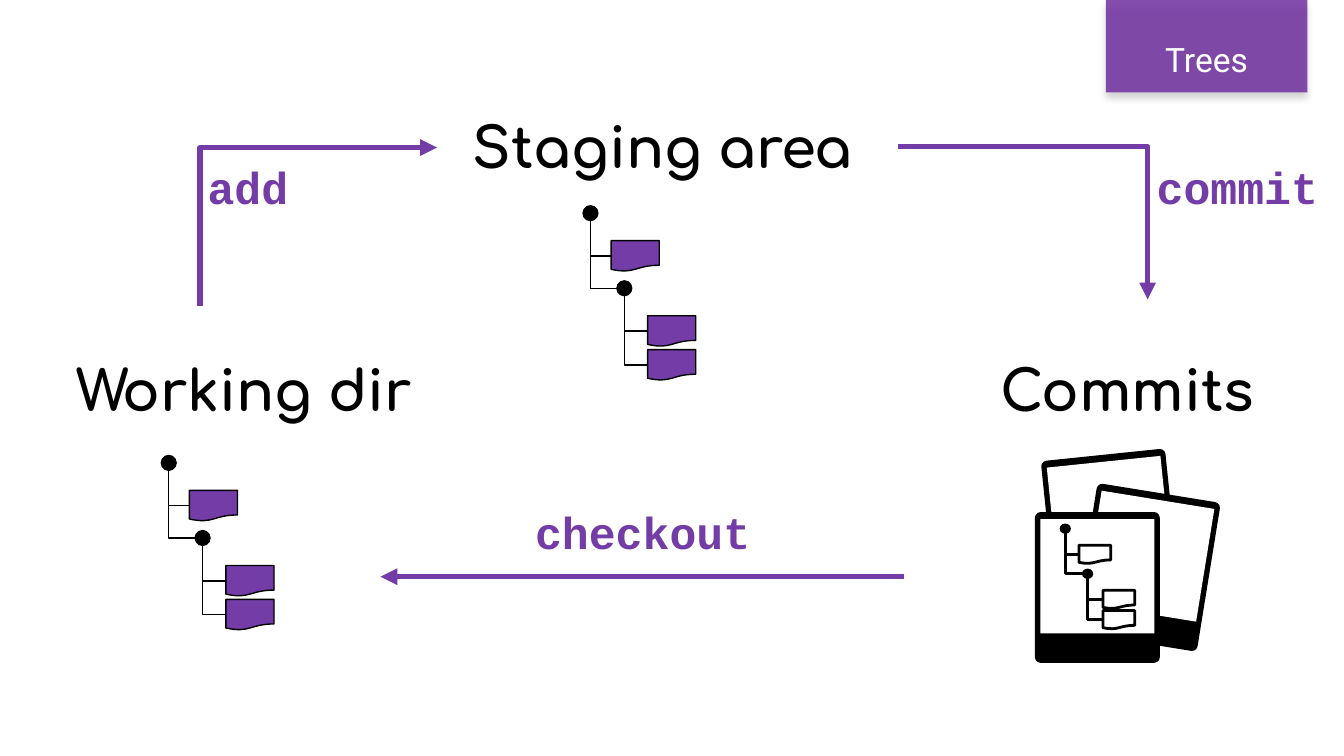
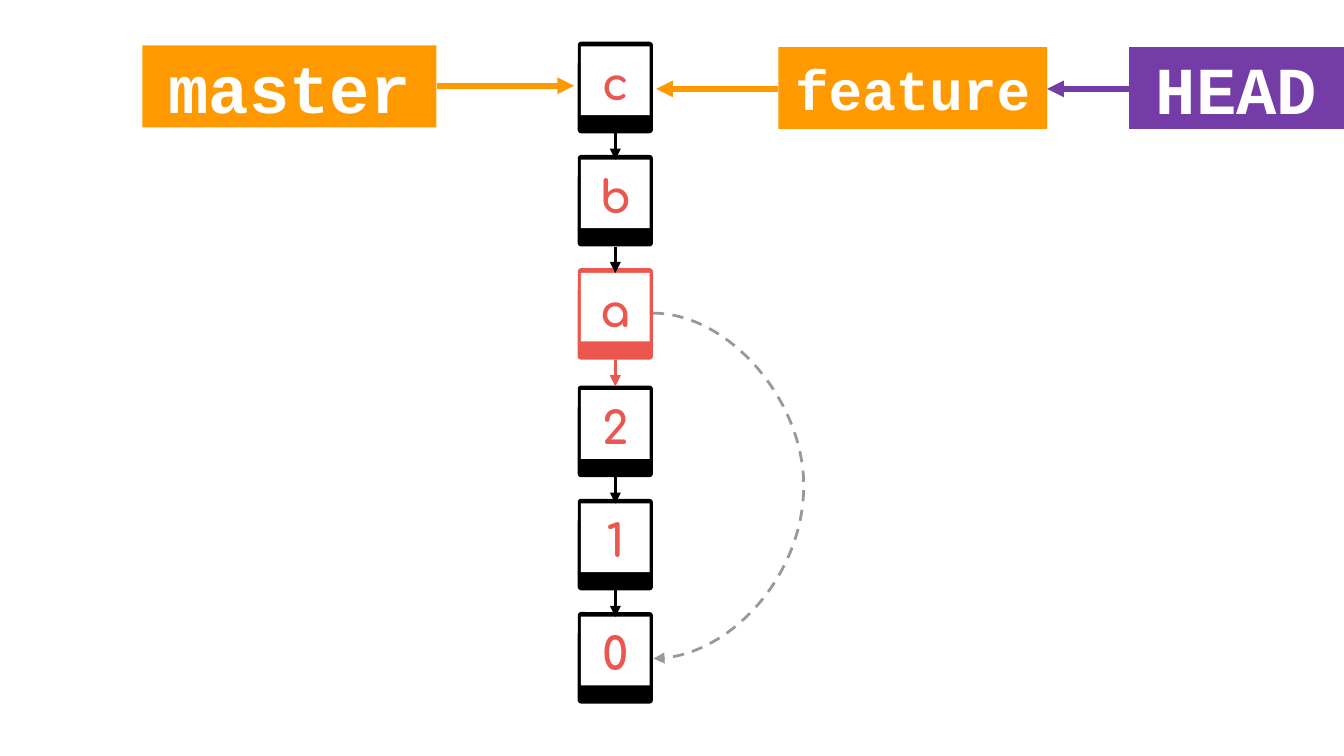
from math import cos, radians, sin

from lxml.etree import SubElement
from pptx import Presentation
from pptx.dml.color import RGBColor
from pptx.enum.dml import MSO_LINE
from pptx.enum.shapes import MSO_CONNECTOR, MSO_SHAPE
from pptx.enum.text import MSO_ANCHOR, PP_ALIGN
from pptx.oxml.ns import qn
from pptx.util import Cm, Pt

BLACK = RGBColor(0x00, 0x00, 0x00)
WHITE = RGBColor(0xFF, 0xFF, 0xFF)
PURPLE = RGBColor(0x73, 0x3C, 0xA6)
TAG_PURPLE = RGBColor(0x70, 0x30, 0xA0)
ORANGE = RGBColor(0xFF, 0x99, 0x00)
RED = RGBColor(0xEB, 0x57, 0x4F)
GREY = RGBColor(0x99, 0x99, 0x99)

HEADING_FONT, CODE_FONT, TAG_FONT = "Comfortaa", "Courier New", "Roboto"


class Deck:
    """Holds the style and the current slide; all positions are in centimetres."""

    def __init__(self):
        self.prs = Presentation()
        self.prs.slide_width, self.prs.slide_height = Cm(25.4), Cm(14.29)

    def new_slide(self):
        self.slide = self.prs.slides.add_slide(self.prs.slide_layouts[6])
        self.ungroup()

    def group(self):
        self.canvas = self.slide.shapes.add_group_shape().shapes

    def ungroup(self):
        self.canvas = self.slide.shapes

    def label(self, shape, words, size, font, color, bold=True,
              align=PP_ALIGN.CENTER, anchor=MSO_ANCHOR.MIDDLE):
        frame = shape.text_frame
        frame.word_wrap = True
        frame.vertical_anchor = anchor
        frame.margin_left = frame.margin_right = Cm(0.25)
        frame.margin_top = frame.margin_bottom = Cm(0.25)
        frame.text = words
        paragraph = frame.paragraphs[0]
        paragraph.alignment = align
        style = paragraph.runs[0].font
        style.size, style.name, style.bold = Pt(size), font, bold
        style.color.rgb = color
        return paragraph

    def text(self, box, words, size, font, color, **options):
        holder = self.canvas.add_textbox(*map(Cm, box))
        return self.label(holder, words, size, font, color, **options)

    def shape(self, kind, box, fill, outline=None, rotation=0):
        shape = self.canvas.add_shape(kind, *map(Cm, box))
        shape.shadow.inherit = False
        shape.fill.solid()
        shape.fill.fore_color.rgb = fill
        shape.rotation = rotation
        if outline:
            shape.line.color.rgb = BLACK
            shape.line.width = Pt(outline)
        else:
            shape.line.fill.background()
        return shape

    def line(self, start, end, color, width, arrow=True, kind=MSO_CONNECTOR.STRAIGHT):
        line = self.canvas.add_connector(kind, *map(Cm, (*start, *end)))
        line.line.color.rgb = color
        line.line.width = Pt(width)
        properties = line._element.spPr
        if arrow:
            SubElement(properties.find(qn("a:ln")), qn("a:tailEnd"), type="triangle")
        SubElement(properties, qn("a:effectLst"))
        return line

    def elbow(self, start, end, color, width, arrow=False, vertical_first=True):
        """One right-angled bend; a vertical start is a quarter turn of the preset."""
        (x1, y1), (x2, y2) = start, end
        if vertical_first:
            cx, cy = (x1 + x2) / 2, (y1 + y2) / 2
            half_w, half_h = (y2 - y1) / 2, (x2 - x1) / 2
            start, end = (cx + half_w, cy - half_h), (cx - half_w, cy + half_h)
        line = self.line(start, end, color, width, arrow, MSO_CONNECTOR.ELBOW)
        properties = line._element.spPr
        properties.find(qn("a:prstGeom")).set("prst", "bentConnector2")
        if vertical_first:
            properties.find(qn("a:xfrm")).set("rot", str(270 * 60000))

    def arc(self, start, drop, bulge, color, width):
        """Dashed curve that leaves to the right and comes back lower down."""
        x, y = start
        sliver = 0.01
        line = self.line(start, (x + sliver, y + drop), color, width,
                         kind=MSO_CONNECTOR.CURVE)
        line.line.dash_style = MSO_LINE.DASH
        guides = line._element.spPr.find(qn("a:prstGeom")).find(qn("a:avLst"))
        SubElement(guides, qn("a:gd"), name="adj1",
                   fmla=f"val {round(bulge / sliver * 100000)}")

    def photo(self, left, top, width, height, color=BLACK, rotation=0):
        """Instant photo: a frame with a square window above its centre."""
        frame = self.shape(MSO_SHAPE.ROUNDED_RECTANGLE, (left, top, width, height),
                           color, rotation=rotation)
        frame.adjustments[0] = 0.045
        side, lift, angle = width * 0.915, height * 0.075, radians(rotation)
        cx = left + width / 2 + lift * sin(angle)
        cy = top + height / 2 - lift * cos(angle)
        self.shape(MSO_SHAPE.RECTANGLE, (cx - side / 2, cy - side / 2, side, side),
                   WHITE, rotation=rotation)

    def tree(self, left, top, fill=PURPLE, outline=0.75, sx=1, sy=1):
        """Root and folder nodes with three files hanging off them."""
        def at(x, y):
            return left + x * sx, top + y * sy

        self.group()
        root, folder, node = (0, 0), (0.64, 1.42), 0.28
        files = [(root, 0.53, 0.66), (folder, 1.22, 2.08), (folder, 1.22, 2.72)]
        for _, x, y in files:
            self.shape(MSO_SHAPE.FLOWCHART_DOCUMENT,
                       (*at(x, y), 0.91 * sx, 0.58 * sy), fill, outline)
        branches = [(parent, x, y + 0.29) for parent, x, y in files]
        branches.append((root, folder[0], folder[1] + node / 2))
        for (px, py), x, y in branches:
            self.elbow(at(px + node / 2, py + node), at(x, y), BLACK, outline)
        for spot in (root, folder):
            self.shape(MSO_SHAPE.OVAL, (*at(*spot), node * sx, node * sy), BLACK, 0.75)
        self.ungroup()

    def corner_tag(self, words):
        left, width = 20.9, 3.81
        tag = self.shape(MSO_SHAPE.RECTANGLE, (left, 0, width, 1.75), TAG_PURPLE)
        properties = tag._element.spPr
        solid = properties.find(qn("a:solidFill"))
        SubElement(solid[0], qn("a:alpha"), val="85000")
        shadow = SubElement(properties.find(qn("a:effectLst")), qn("a:outerShdw"),
                            blurRad=str(int(Pt(4))), dist=str(int(Pt(3))),
                            dir="5400000", algn="t", rotWithShape="0")
        shade = SubElement(shadow, qn("a:srgbClr"), val=str(BLACK))
        SubElement(shade, qn("a:alpha"), val="20000")
        caption = self.text((left, 0.33, width, 1.19), words, 18, TAG_FONT, WHITE,
                            bold=False)
        caption.line_spacing = 1.5

    def branch_tag(self, box, words, size, color):
        tag = self.shape(MSO_SHAPE.RECTANGLE, box, color)
        self.label(tag, words, size, CODE_FONT, WHITE)


def trees_slide(deck):
    deck.new_slide()

    # Three areas
    for words, left, top, width, align in [
        ("Working dir", 1.19, 6.48, 9.55, PP_ALIGN.LEFT),
        ("Staging area", 8.08, 1.88, 8.89, PP_ALIGN.CENTER),
        ("Commits", 17.98, 6.48, 6.65, PP_ALIGN.CENTER),
    ]:
        deck.text((left, top, width, 1.75), words, 30, HEADING_FONT, BLACK,
                  align=align, anchor=MSO_ANCHOR.TOP)

    # Commands between them
    for words, left, top, width in [
        ("add", 1.19, 2.77, 6.99),
        ("commit", 19.89, 2.77, 6.99),
        ("checkout", 7.37, 9.3, 9.55),
    ]:
        deck.text((left, top, width, 1.75), words, 24, CODE_FONT, PURPLE,
                  anchor=MSO_ANCHOR.TOP)
    deck.line((17.09, 10.9), (7.19, 10.9), PURPLE, 3)
    deck.elbow((3.78, 5.79), (8.26, 2.79), PURPLE, 3, arrow=True)
    deck.elbow((16.97, 2.77), (21.69, 5.66), PURPLE, 3, arrow=True,
               vertical_first=False)

    deck.corner_tag("Trees")

    # Stack of commits, the front one showing its tree
    for left, top, rotation in [(19.81, 8.59, -5.9), (20.5, 9.3, 9.2), (19.56, 9.68, 0)]:
        deck.photo(left, top, 2.36, 2.85, rotation=rotation)
    deck.tree(20.04, 9.91, WHITE, 1.5, sx=0.66, sy=0.6)

    # Trees of the staging area and the working directory
    deck.tree(11.02, 3.89)
    deck.tree(3.05, 8.61)


def history_slide(deck):
    deck.new_slide()
    left, width, height, pitch = 10.92, 1.42, 1.73, 2.14
    center = left + width / 2

    # Commits: the rebased run above the old one
    commits = []
    for names, first_top in [("cba", 0.79), ("210", 7.29)]:
        commits += [(name, first_top + i * pitch) for i, name in enumerate(names)]
    for name, top in commits:
        deck.group()
        deck.photo(left, top, width, height, RED if name == "a" else BLACK)
        deck.ungroup()
        deck.text((left + 0.1, top + 0.33, width - 0.2, 0.89), name, 24,
                  HEADING_FONT, RED)

    # Links to the parents
    for name, top in commits[:-1]:
        bottom = top + height
        deck.line((center, bottom), (center, bottom + 0.5),
                  RED if name == "a" else BLACK, 1.5)
    deck.arc((left + width, 5.92), 6.53, 2.85, GREY, 1.5)

    # Branches and HEAD
    deck.branch_tag((2.69, 0.86, 5.56, 1.55), "master", 36, ORANGE)
    deck.branch_tag((14.71, 0.89, 5.08, 1.55), "feature", 30, ORANGE)
    deck.branch_tag((21.34, 0.89, 4.06, 1.55), "HEAD", 36, PURPLE)
    deck.line((8.25, 1.62), (10.85, 1.62), ORANGE, 3)
    deck.line((14.71, 1.68), (12.4, 1.68), ORANGE, 3)
    deck.line((21.34, 1.68), (19.79, 1.68), PURPLE, 3)


def main():
    deck = Deck()
    trees_slide(deck)
    history_slide(deck)
    deck.prs.save("out.pptx")


if __name__ == "__main__":
    main()
